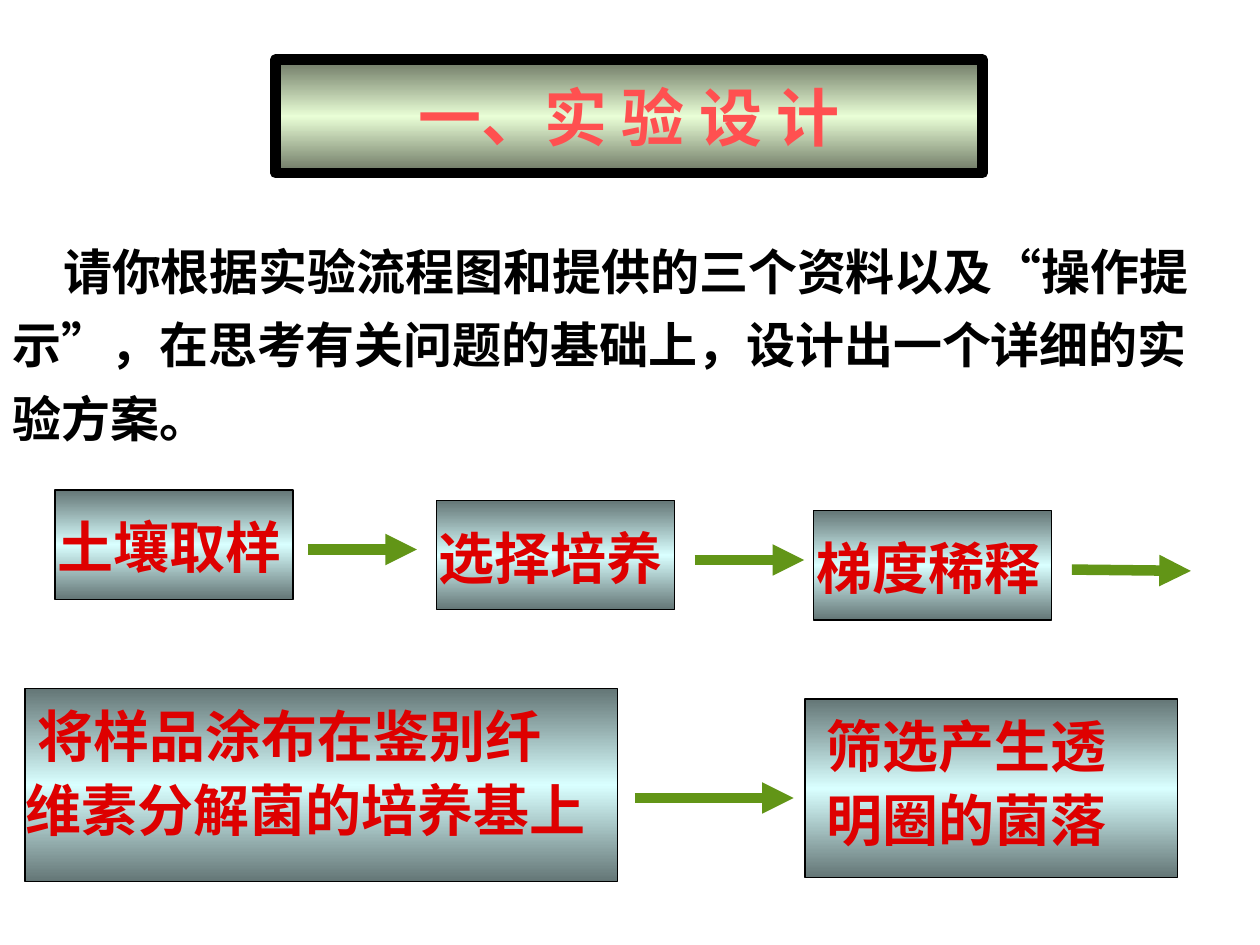
from copy import deepcopy
from dataclasses import dataclass

from pptx import Presentation
from pptx.dml.color import RGBColor
from pptx.enum.shapes import MSO_CONNECTOR, MSO_SHAPE
from pptx.enum.text import MSO_ANCHOR, MSO_AUTO_SIZE, PP_ALIGN
from pptx.oxml.ns import qn
from pptx.util import Pt

COLORS = {
    "black": "000000",
    "title": "FF5050",
    "title_edge": "6C7663",
    "title_mid": "E9FED6",
    "step": "DE0000",
    "step_edge": "647676",
    "step_mid": "D9FFFF",
    "arrow": "629517",
}
CJK = "Noto Sans CJK SC"
LATIN = "Arial"


@dataclass
class Area:
    left: float
    top: float
    width: float
    height: float

    def lengths(self) -> list:
        return [Pt(v) for v in (self.left, self.top, self.width, self.height)]


@dataclass
class Step:
    box: Area
    label: Area
    lines: list
    indents: list
    spacing: float


@dataclass
class Arrow:
    x1: float
    y1: float
    x2: float
    y2: float


def rgb(name: str) -> RGBColor:
    return RGBColor.from_string(COLORS[name])


def format_run(r, size: float, color: str, latin: str = CJK) -> None:
    r.font.size = Pt(size)
    r.font.bold = True
    r.font.color.rgb = rgb(color)
    r.font.name = latin
    ea = r.font._element.makeelement(qn("a:ea"), {"typeface": CJK})
    r.font._element.find(qn("a:latin")).addnext(ea)


def indent(p, first: float = 0, left: float = 0) -> None:
    pPr = p._p.get_or_add_pPr()
    pPr.set("marL", str(Pt(left)))
    pPr.set("indent", str(Pt(first)))


def add_panel(shapes, area: Area, edge: str, mid: str, line: float):
    sp = shapes.add_shape(MSO_SHAPE.RECTANGLE, *area.lengths())
    sp.shadow.inherit = False
    sp.fill.gradient()
    sp.fill.gradient_angle = 90
    first, second = sp.fill.gradient_stops
    first.color.rgb = rgb(edge)
    first.position = 0
    second.color.rgb = rgb(mid)
    second.position = 0.5
    stops = sp._element.spPr.find(qn("a:gradFill")).find(qn("a:gsLst"))
    last = deepcopy(stops[0])
    last.set("pos", "100000")
    stops.append(last)
    sp.line.color.rgb = rgb("black")
    sp.line.width = Pt(line)
    return sp


def add_text(shapes, area: Area):
    tf = shapes.add_textbox(*area.lengths()).text_frame
    tf.word_wrap = True
    tf.auto_size = MSO_AUTO_SIZE.SHAPE_TO_FIT_TEXT
    return tf


def add_title(s, text: str) -> None:
    sp = add_panel(s.shapes, Area(157.5, 34, 404, 65), "title_edge", "title_mid", 6)
    tf = sp.text_frame
    tf.vertical_anchor = MSO_ANCHOR.MIDDLE
    tf.text = text
    p = tf.paragraphs[0]
    p.alignment = PP_ALIGN.CENTER
    format_run(p.runs[0], 36, "title")


def add_task(s, parts: list) -> None:
    p = add_text(s.shapes, Area(0, 126, 713, 139.5)).paragraphs[0]
    indent(p, first=29)
    p.line_spacing = 1.25
    for text in parts:
        r = p.add_run()
        r.text = text
        format_run(r, 28, "black", LATIN if text in "“”" else CJK)


def add_step(s, step: Step) -> None:
    group = s.shapes.add_group_shape()
    add_panel(group.shapes, step.box, "step_edge", "step_mid", 0.75)
    tf = add_text(group.shapes, step.label)
    tf.text = "\n".join(step.lines)
    for p, left in zip(tf.paragraphs, step.indents):
        indent(p, left=left)
        p.line_spacing = step.spacing
        format_run(p.runs[0], 32, "step")


def add_arrow(s, arrow: Arrow) -> None:
    cx = s.shapes.add_connector(
        MSO_CONNECTOR.STRAIGHT,
        Pt(arrow.x1), Pt(arrow.y1), Pt(arrow.x2), Pt(arrow.y2),
    )
    cx.line.color.rgb = rgb("arrow")
    cx.line.width = Pt(6)
    ln = cx.line._get_or_add_ln()
    ln.append(ln.makeelement(qn("a:tailEnd"), {"type": "triangle"}))
    spPr = cx._element.spPr
    spPr.append(spPr.makeelement(qn("a:effectLst"), {}))


def short_step(text: str, left: float, top: float) -> Step:
    return Step(
        Area(left, top, 136, 62.5), Area(left - 5.8, top, 150.5, 55.5),
        [text], [0], 1.25,
    )


STEPS = [
    short_step("土壤取样", 31.5, 280),
    short_step("选择培养", 249.5, 286),
    short_step("梯度稀释", 465, 291.75),
    Step(
        Area(14.25, 393.5, 338.5, 110.25), Area(0, 393.5, 374.5, 92.25),
        ["将样品涂布在鉴别纤", "维素分解菌的培养基上"], [14.5, 7.25], 1.1,
    ),
    Step(
        Area(460, 399.5, 213, 102), Area(450.5, 399.5, 235.5, 92.25),
        ["筛选产生透", "明圈的菌落"], [14.5, 14.5], 1.1,
    ),
]
ARROWS = [
    Arrow(175.75, 314, 238.25, 314),
    Arrow(397, 320, 459.5, 320),
    Arrow(612.5, 325.5, 680.5, 326.25),
    Arrow(362.75, 456, 453.5, 456),
]
TASK = [
    "请你根据实验流程图和提供的三个资料以及", "“", "操作提示", "”",
    "，在思考有关问题的基础上，设计出一个详细的实验方案。",
]


def main() -> None:
    prs = Presentation()
    prs.slide_width, prs.slide_height = Pt(720), Pt(540)
    s = prs.slides.add_slide(prs.slide_layouts[6])
    add_title(s, "一、实 验 设 计")
    add_task(s, TASK)
    for step in STEPS:
        add_step(s, step)
    for arrow in ARROWS:
        add_arrow(s, arrow)
    prs.save("out.pptx")


if __name__ == "__main__":
    main()
